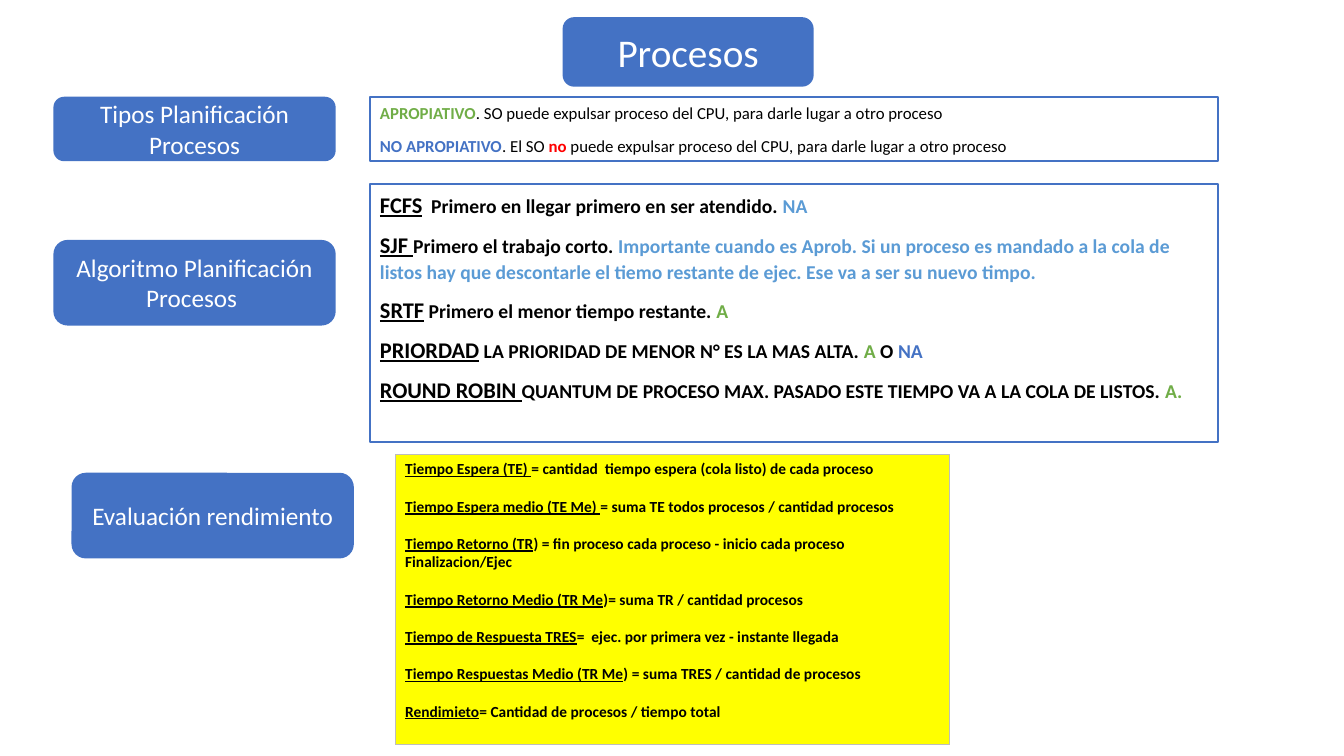
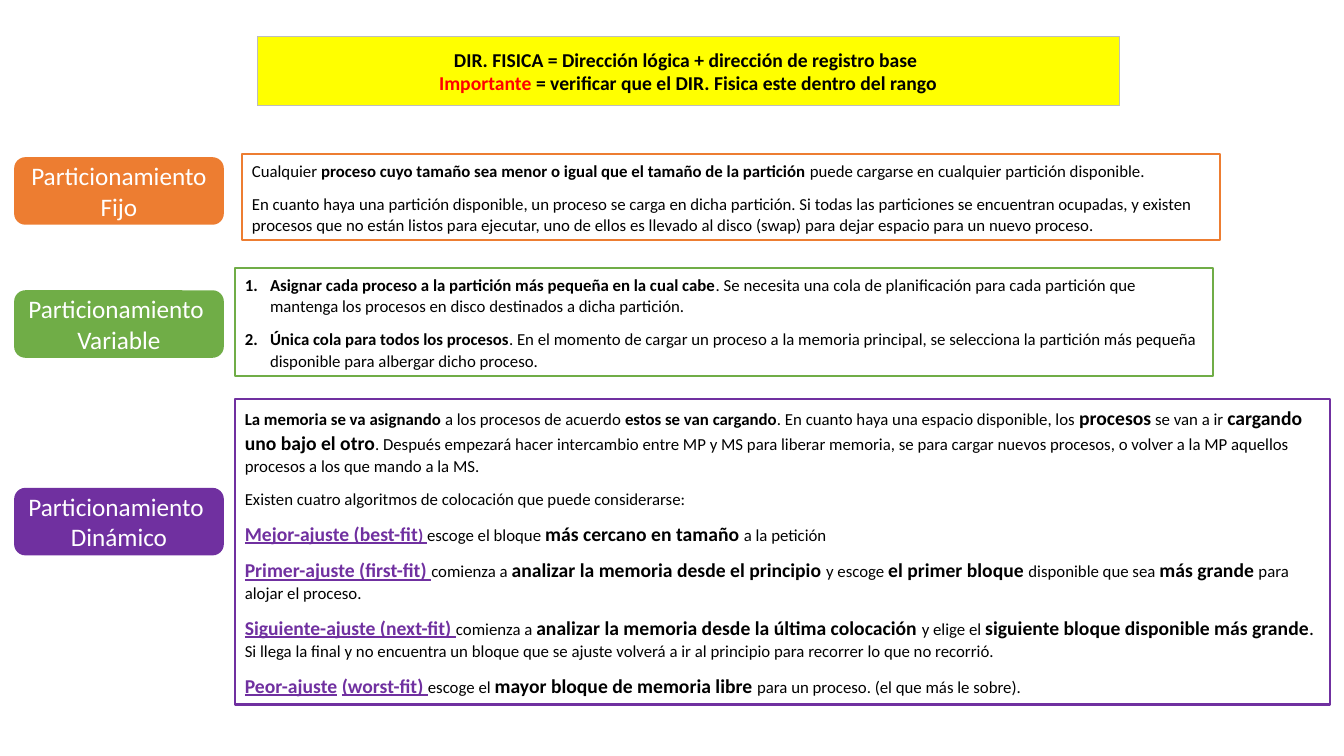
"""Build two study slides on process scheduling and memory partitioning."""
from lxml import etree
from pptx import Presentation
from pptx.dml.color import RGBColor
from pptx.enum.shapes import MSO_SHAPE
from pptx.enum.text import MSO_ANCHOR, PP_ALIGN
from pptx.oxml.ns import qn
from pptx.util import Inches, Pt

RECTANGLE = MSO_SHAPE.RECTANGLE
ROUNDED = MSO_SHAPE.ROUNDED_RECTANGLE
TOP, MIDDLE = MSO_ANCHOR.TOP, MSO_ANCHOR.MIDDLE
LEFT, CENTER = PP_ALIGN.LEFT, PP_ALIGN.CENTER

COLORS = {
    "black": "000000", "white": "FFFFFF", "blue": "4472C4", "sky": "5B9BD5",
    "green": "70AD47", "orange": "ED7D31", "purple": "7030A0",
    "red": "FF0000", "yellow": "FFFF00", "gray": "BDBDBD",
}
STYLES = {
    "title": (28, False, False),
    "label": (18, False, False),
    "term": (16, True, True),
    "fit": (14, True, True),
    "strong": (14, True, False),
    "medium": (14, False, False),
    "fit_end": (12, True, True),
    "bold": (12, True, False),
    "plain": (12, False, False),
    "name": (11, True, True),
    "formula": (11, True, False),
}
FORMULA_GAP = 13.4

SCHEDULING_TYPES = [
    [("APROPIATIVO", "bold", "green"),
     (". SO puede expulsar proceso del CPU, para darle lugar a otro proceso", "plain")],
    [("NO APROPIATIVO", "bold", "blue"), (". El SO ", "plain"), ("no", "bold", "red"),
     (" puede expulsar proceso del CPU, para darle lugar a otro proceso", "plain")],
]
ALGORITHMS = [
    [("FCFS", "term"), ("  Primero en llegar primero en ser atendido. ", "strong"),
     ("NA", "strong", "sky")],
    [("SJF ", "term"), ("Primero el trabajo corto. ", "strong"),
     ("Importante cuando es Aprob. Si un proceso es mandado a la cola de listos hay que "
      "descontarle el tiemo restante de ejec. Ese va a ser su nuevo timpo.",
      "strong", "sky")],
    [("SRTF", "term"), (" Primero el menor tiempo restante. ", "strong"),
     ("A", "strong", "green")],
    [("PRIORDAD", "term"), (" LA PRIORIDAD DE MENOR N° ES LA MAS ALTA. ", "strong"),
     ("A", "strong", "green"), (" O ", "strong"), ("NA", "strong", "blue")],
    [("ROUND ROBIN ", "term"),
     ("QUANTUM DE PROCESO MAX. PASADO ESTE TIEMPO VA A LA COLA DE LISTOS. ", "strong"),
     ("A.", "strong", "green")],
]
FORMULAS = [
    [("Tiempo Espera (TE) ", "name"),
     ("= cantidad  tiempo espera (cola listo) de cada proceso", "formula")],
    [("Tiempo Espera medio (TE Me) ", "name"),
     ("= suma TE todos procesos / cantidad procesos", "formula")],
    [("Tiempo Retorno (TR", "name"),
     (") = fin proceso cada proceso - inicio cada proceso", "formula")],
    [("Finalizacion/Ejec", "formula")],
    [("Tiempo Retorno Medio (TR Me", "name"),
     (")= suma TR / cantidad procesos", "formula")],
    [("Tiempo de Respuesta TRES", "name"),
     ("=  ejec. por primera vez - instante llegada", "formula")],
    [("Tiempo Respuestas Medio (TR Me", "name"),
     (") = suma TRES / cantidad de procesos", "formula")],
    [("Rendimieto", "name"), ("= Cantidad de procesos / tiempo total", "formula")],
]
ADDRESS = [
    [("DIR. FISICA = Dirección lógica + dirección de registro base ", "strong")],
    [("Importante", "strong", "red"),
     (" = verificar que el DIR. Fisica este dentro del rango", "strong")],
]
FIXED = [
    [("Cualquier ", "plain"),
     ("proceso cuyo tamaño sea menor o igual que el tamaño de la partición ", "bold"),
     ("puede cargarse en cualquier partición disponible.", "plain")],
    [("En cuanto haya una partición disponible, un proceso se carga en dicha partición. "
      "Si todas las particiones se encuentran ocupadas, y existen procesos que no están "
      "listos para ejecutar, uno de ellos es llevado al disco (swap) para dejar espacio "
      "para un nuevo proceso.", "plain")],
]
VARIABLE = [
    [("Asignar cada proceso a la partición más pequeña en la cual cabe", "bold"),
     (". Se necesita una cola de planificación para cada partición que mantenga los "
      "procesos en disco destinados a dicha partición.", "plain")],
    [("Única cola para todos los procesos", "bold"),
     (". En el momento de cargar un proceso a la memoria principal, se selecciona la "
      "partición más pequeña disponible para albergar dicho proceso.", "plain")],
]
DYNAMIC = [
    [("La memoria se va asignando ", "bold"), ("a los procesos de acuerdo ", "plain"),
     ("estos se van cargando", "bold"),
     (". En cuanto haya una espacio disponible, los ", "plain"),
     ("procesos", "strong"), (" se van a ir ", "plain"),
     ("cargando uno bajo el otro", "strong"),
     (". Después empezará hacer intercambio entre MP y MS para liberar memoria, se para "
      "cargar nuevos procesos, o volver a la MP aquellos procesos a los que mando a la MS.",
      "plain")],
    [("Existen cuatro algoritmos de colocación que puede considerarse:", "plain")],
    [("Mejor-ajuste (best-fit", "fit", "purple"), (") ", "fit_end", "purple"),
     ("escoge el bloque ", "plain"), ("más cercano en tamaño ", "strong"),
     ("a la petición", "plain")],
    [("Primer-ajuste (first-fit) ", "fit", "purple"), ("comienza a ", "plain"),
     ("analizar la memoria desde el principio ", "strong"), ("y escoge ", "plain"),
     ("el primer bloque ", "strong"), ("disponible que sea ", "plain"),
     ("más grande ", "strong"), ("para alojar el proceso.", "plain")],
    [("Siguiente-ajuste (next-fit) ", "fit", "purple"), ("comienza a ", "plain"),
     ("analizar la memoria desde la última colocación ", "strong"),
     ("y elige el ", "plain"), ("siguiente bloque disponible más grande", "strong"),
     (". ", "medium"),
     ("Si llega la final y no encuentra un bloque que se ajuste volverá a ir al principio "
      "para recorrer lo que no recorrió.", "plain")],
    [("Peor-ajuste", "fit", "purple"), (" ", "medium"), ("(worst-fit) ", "fit", "purple"),
     ("escoge el ", "plain"), ("mayor bloque de memoria libre ", "strong"),
     ("para un proceso. (el que más le sobre).", "plain")],
]


def color(name):
    """Return the named colour."""
    return RGBColor.from_string(COLORS[name])


class Deck:
    """Hold the presentation style and the current slide."""

    font = "Calibri"

    def __init__(self):
        """Start an empty widescreen presentation."""
        self.presentation = Presentation()
        self.presentation.slide_width = Inches(13.33)
        self.presentation.slide_height = Inches(7.5)
        self.slide = None

    def new_slide(self):
        """Add a blank slide and make it current."""
        self.slide = self.presentation.slides.add_slide(self.presentation.slide_layouts[6])

    def box(self, kind, place, fill, line=None, width=0.75, anchor=MIDDLE):
        """Draw a filled shape that is ready for text."""
        shape = self.slide.shapes.add_shape(kind, *(Inches(value) for value in place))
        shape.shadow.inherit = False
        shape.fill.solid()
        shape.fill.fore_color.rgb = color(fill)
        if line:
            shape.line.color.rgb = color(line)
            shape.line.width = Pt(width)
        else:
            shape.line.fill.background()
        shape.text_frame.word_wrap = True
        shape.text_frame.vertical_anchor = anchor
        return shape

    def add_text(self, shape, paragraphs, align=LEFT, after=0, spacing=None):
        """Fill a shape with paragraphs, run by run."""
        frame = shape.text_frame
        for index, runs in enumerate(paragraphs):
            paragraph = frame.add_paragraph() if index else frame.paragraphs[0]
            paragraph.alignment = align
            paragraph.space_after = Pt(after)
            if spacing:
                paragraph.line_spacing = spacing
            for run in runs:
                self.add_run(paragraph, *run)

    def add_run(self, paragraph, text, style, ink="black"):
        """Append one styled run to a paragraph."""
        run = paragraph.add_run()
        run.text = text
        font = run.font
        size, font.bold, font.underline = STYLES[style]
        font.size = Pt(size)
        font.name = self.font
        font.color.rgb = color(ink)

    def label(self, place, fill, *lines, style="label"):
        """Draw a rounded label with centred white text."""
        shape = self.box(ROUNDED, place, fill)
        self.add_text(shape, [[(line, style, "white")] for line in lines], CENTER)

    def panel(self, place, line, paragraphs, numbered=False):
        """Draw a white outlined panel of body text."""
        shape = self.box(RECTANGLE, place, "white", line, 1.5, TOP)
        self.add_text(shape, paragraphs, after=8, spacing=1.07)
        if numbered:
            self.number(shape)

    def number(self, shape):
        """Number the paragraphs of a shape with a hanging indent."""
        for paragraph in shape.text_frame.paragraphs:
            properties = paragraph._p.get_or_add_pPr()
            properties.set("marL", str(Inches(0.25)))
            properties.set("indent", str(-Inches(0.25)))
            etree.SubElement(properties, qn("a:buAutoNum"), type="arabicPeriod")

    def note(self, place, paragraphs, anchor=MIDDLE, align=CENTER, after=0):
        """Draw a yellow note and return it."""
        shape = self.box(RECTANGLE, place, "yellow", "gray", anchor=anchor)
        self.add_text(shape, paragraphs, align, after)
        return shape


def build_processes(deck):
    """Build the process scheduling slide."""
    deck.new_slide()
    deck.label((0.53, 2.38, 2.8, 0.85), "blue", "Algoritmo Planificación Procesos ")
    deck.panel((3.67, 1.83, 8.41, 2.56), "blue", ALGORITHMS)
    deck.label((0.53, 0.96, 2.8, 0.64), "blue", "Tipos Planificación Procesos")
    deck.panel((3.67, 0.96, 8.41, 0.64), "blue", SCHEDULING_TYPES)
    deck.label((0.71, 4.69, 2.8, 0.85), "blue", "Evaluación rendimiento")
    deck.label((5.58, 0.17, 2.49, 0.69), "blue", "Procesos", style="title")
    formulas = deck.note((3.92, 4.51, 5.5, 2.88), FORMULAS, TOP, LEFT, FORMULA_GAP)
    formulas.text_frame.paragraphs[2].space_after = Pt(0)


def build_partitions(deck):
    """Build the memory partitioning slide."""
    deck.new_slide()
    labels = [
        (1.56, "orange", ["Particionamiento Fijo"]),
        (2.88, "green", ["Particionamiento ", "Variable"]),
        (4.84, "purple", ["Particionamiento ", "Dinámico"]),
    ]
    for top, fill, lines in labels:
        deck.label((0.14, top, 2.08, 0.67), fill, *lines)
    deck.panel((2.4, 1.53, 9.7, 0.85), "orange", FIXED)
    deck.panel((2.33, 2.66, 9.7, 1.07), "green", VARIABLE, numbered=True)
    deck.panel((2.33, 3.96, 10.86, 3.03), "purple", DYNAMIC)
    deck.note((2.55, 0.36, 8.55, 0.69), ADDRESS)


def main():
    """Build and save the presentation."""
    deck = Deck()
    build_processes(deck)
    build_partitions(deck)
    deck.presentation.save("out.pptx")


if __name__ == "__main__":
    main()
